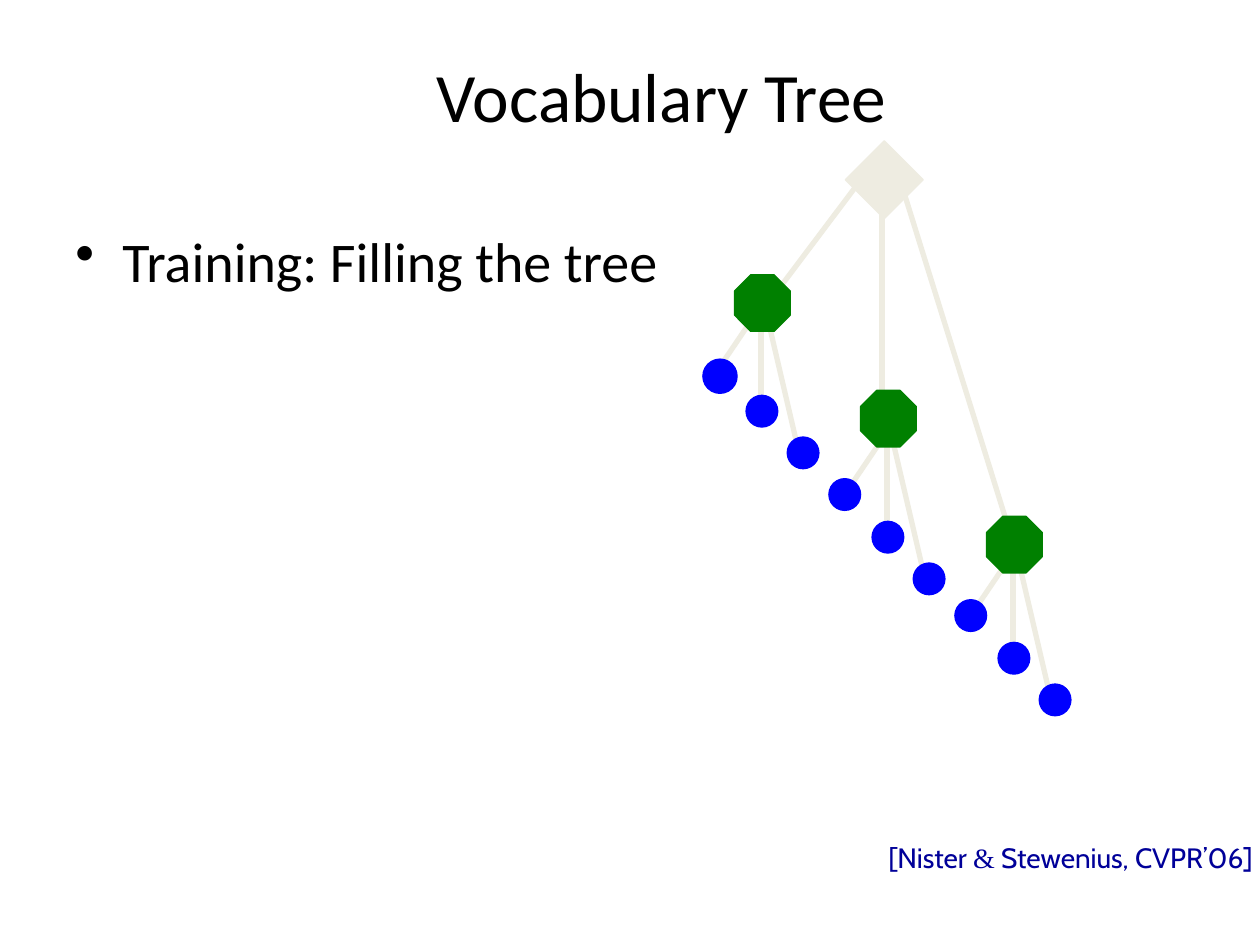
import pptx
import pptx.util
import pptx.dml.color
import pptx.enum.shapes
import pptx.enum.text
import pptx.oxml
import pptx.oxml.ns

Cm = pptx.util.Cm
Kind = pptx.enum.shapes.MSO_SHAPE
Align = pptx.enum.text.PP_ALIGN
Anchor = pptx.enum.text.MSO_ANCHOR


class Theme:
    ink = "000000"
    cite = "000099"
    branch = "EEECE1"
    node = "008000"
    leaf = "0000FF"
    font = "Calibri"
    title = 39.6
    body = 32
    note = 16
    edge = 0.75
    stroke = 3


def rgb(code):
    return pptx.dml.color.RGBColor.from_string(code)


def text(slide, box, runs, size, color, align, **frame):
    """Add a one-paragraph text box; runs are (text, font) pairs."""
    shape = slide.shapes.add_textbox(*map(Cm, box))
    for key, value in frame.items():
        setattr(shape.text_frame, key, value)
    para = shape.text_frame.paragraphs[0]
    para.alignment = align
    for words, face in runs:
        run = para.add_run()
        run.text = words
        form = {"name": face, "size": pptx.util.Pt(size)}
        for key, value in form.items():
            setattr(run.font, key, value)
        run.font.color.rgb = rgb(color)
    return para


def bullet(para, indent):
    props = para._p.get_or_add_pPr()
    props.set("marL", str(Cm(indent)))
    props.set("indent", str(-Cm(indent)))
    mark = pptx.oxml.parse_xml(
        '<a:buChar %s char="•"/>' % pptx.oxml.ns.nsdecls("a"))
    props.append(mark)


def shape(slide, kind, box, color):
    item = slide.shapes.add_shape(kind, *map(Cm, box))
    item.shadow.inherit = False
    item.fill.solid()
    item.fill.fore_color.rgb = rgb(color)
    item.line.color.rgb = rgb(color)
    item.line.width = pptx.util.Pt(Theme.edge)
    return item


def line(slide, ends):
    item = slide.shapes.add_connector(
        pptx.enum.shapes.MSO_CONNECTOR.STRAIGHT, *map(Cm, ends))
    item.line.color.rgb = rgb(Theme.branch)
    item.line.width = pptx.util.Pt(Theme.stroke)
    item._element.spPr.append(pptx.oxml.parse_xml(
        "<a:effectLst %s/>" % pptx.oxml.ns.nsdecls("a")))


def twigs(slide, x, y, leaves):
    """Draw three branches and their leaves, placed from (x, y)."""
    for x1, y1, x2, y2 in ((-0.86, 1.27, 0, 0),
                           (0, 0.05, 0, 2.18),
                           (0.1, 0.1, 0.74, 2.84)):
        line(slide, (x + x1, y + y1, x + x2, y + y2))
    for dx, dy in leaves:
        shape(slide, Kind.OVAL, (x + dx, y + dy, 0.64, 0.64), Theme.leaf)


def tree(slide):
    step = 2.54
    leaves = ((-0.3, 1.8), (0.53, 2.64), (-1.17, 0.94))

    # Lower branches; the first one has a larger outer leaf, added below
    for col, y in ((2, 11.15), (1, 8.71), (0, 6.17)):
        twigs(slide, 15.34 + col * step, y, leaves if col else leaves[:2])

    # Root and its branches
    for ends in ((15.44, 6.17, 17.35, 3.63),
                 (17.78, 8.71, 17.78, 3.84),
                 (20.52, 11.25, 18.21, 3.84)):
        line(slide, ends)
    shape(slide, Kind.DIAMOND, (17.04, 2.84, 1.57, 1.57), Theme.branch)
    shape(slide, Kind.FLOWCHART_CONNECTOR, (14.17, 7.24, 0.69, 0.69),
          Theme.leaf)

    # Inner nodes
    for col, y in enumerate((5.54, 7.87, 10.41)):
        node = shape(slide, Kind.OCTAGON,
                     (14.81 + col * step, y, 1.12, 1.14), Theme.node)
        node.adjustments[0] = 0.29


def main():
    deck = pptx.Presentation()
    deck.slide_width, deck.slide_height = Cm(25.4), Cm(19.05)
    slide = deck.slides.add_slide(deck.slide_layouts[6])

    # Title and bullet
    text(slide, (1.27, 1.07, 24.13, 1.7), [("Vocabulary Tree", Theme.font)],
         Theme.title, Theme.ink, Align.CENTER,
         word_wrap=True, vertical_anchor=Anchor.MIDDLE)
    para = text(slide, (1.27, 4.45, 22.86, 12.57),
                [("Training: Filling the tree", Theme.font)],
                Theme.body, Theme.ink, Align.LEFT, word_wrap=True)
    bullet(para, 0.95)

    tree(slide)

    # Citation
    text(slide, (17.25, 16.81, 8.26, 0.94),
         [("[Nister ", "Cabin"), ("&", "Times New Roman"),
          (" Stewenius, CVPR’06]", "Cabin")],
         Theme.note, Theme.cite, Align.RIGHT, word_wrap=False,
         auto_size=pptx.enum.text.MSO_AUTO_SIZE.SHAPE_TO_FIT_TEXT)

    deck.save("out.pptx")


if __name__ == "__main__":
    main()
